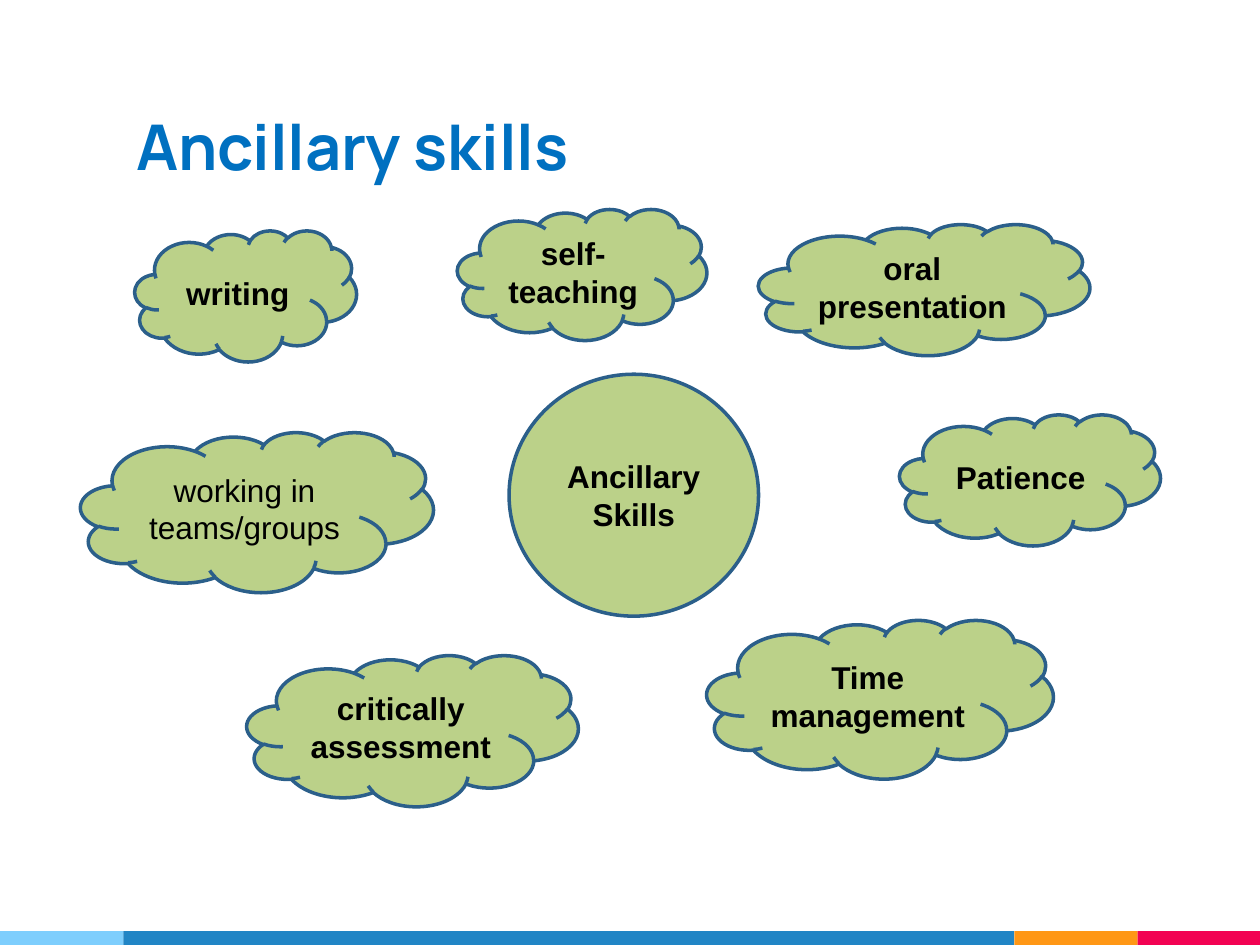
from dataclasses import dataclass

from pptx import Presentation
from pptx.dml.color import RGBColor
from pptx.enum.shapes import MSO_SHAPE
from pptx.enum.text import MSO_ANCHOR, PP_ALIGN
from pptx.util import Inches, Pt


@dataclass(frozen=True)
class Theme:
    title: RGBColor = RGBColor(0x00, 0x70, 0xC0)
    text: RGBColor = RGBColor(0x00, 0x00, 0x00)
    fill: RGBColor = RGBColor(0xBB, 0xD1, 0x89)
    line: RGBColor = RGBColor(0x2B, 0x5F, 0x8A)
    sky: RGBColor = RGBColor(0x7E, 0xCE, 0xFD)
    blue: RGBColor = RGBColor(0x21, 0x85, 0xC5)
    orange: RGBColor = RGBColor(0xFF, 0x97, 0x15)
    red: RGBColor = RGBColor(0xF2, 0x02, 0x53)
    title_font: str = "Manrope"
    body_font: str = "Arial"
    title_size: Pt = Pt(36)
    body_size: Pt = Pt(18)
    line_width: Pt = Pt(2)


@dataclass(frozen=True)
class Bubble:
    text: str
    left: float
    top: float
    width: float
    height: float
    bold: bool = True
    kind: MSO_SHAPE = MSO_SHAPE.CLOUD


THEME = Theme()
SLIDE_W, SLIDE_H = 10, 7.5
BAR_H = 0.11
BAR_SEGMENTS = [
    (0.98, THEME.sky),
    (7.07, THEME.blue),
    (0.98, THEME.orange),
    (0.97, THEME.red),
]
BUBBLES = [
    Bubble("writing", 1.07, 1.83, 1.76, 1.04),
    Bubble("working in teams/groups", 0.64, 3.43, 2.8, 1.27, bold=False),
    Bubble("oral presentation", 6.02, 1.78, 2.63, 1.04),
    Bubble("critically assessment", 1.96, 5.2, 2.63, 1.2),
    Bubble("self-teaching", 3.63, 1.66, 1.98, 1.04),
    Bubble("Patience", 7.14, 3.29, 2.07, 1.04),
    Bubble("Time management", 5.61, 4.92, 2.75, 1.26),
    Bubble("Ancillary Skills", 4.04, 2.97, 1.98, 1.92, kind=MSO_SHAPE.OVAL),
]


def set_attrs(obj, values: dict) -> None:
    for name, value in values.items():
        setattr(obj, name, value)


def write(sp, text: str, frame: dict, align: PP_ALIGN, font: dict, color: RGBColor) -> None:
    tf = sp.text_frame
    set_attrs(tf, {"word_wrap": True, **frame})
    p = tf.paragraphs[0]
    p.alignment = align
    r = p.add_run()
    r.text = text
    set_attrs(r.font, font)
    r.font.color.rgb = color


def add_filled(s, kind: MSO_SHAPE, box: tuple, color: RGBColor):
    sp = s.shapes.add_shape(kind, *(Inches(v) for v in box))
    sp.shadow.inherit = False
    sp.fill.solid()
    sp.fill.fore_color.rgb = color
    return sp


def add_footer_bar(s) -> None:
    left = 0
    for width, color in BAR_SEGMENTS:
        box = (left, SLIDE_H - BAR_H, width, BAR_H)
        add_filled(s, MSO_SHAPE.RECTANGLE, box, color).line.fill.background()
        left += width


def add_title(s, text: str) -> None:
    sp = s.shapes.title
    box = {"left": 0.98, "top": 0.3, "width": 7.07, "height": 1.25}
    set_attrs(sp, {name: Inches(v) for name, v in box.items()})
    frame = {f"margin_{side}": Inches(0.1) for side in ("left", "top", "right", "bottom")}
    frame["vertical_anchor"] = MSO_ANCHOR.BOTTOM
    font = {"name": THEME.title_font, "size": THEME.title_size, "bold": True}
    write(sp, text, frame, PP_ALIGN.LEFT, font, THEME.title)


def add_bubble(s, b: Bubble) -> None:
    sp = add_filled(s, b.kind, (b.left, b.top, b.width, b.height), THEME.fill)
    sp.line.color.rgb = THEME.line
    sp.line.width = THEME.line_width
    font = {"name": THEME.body_font, "size": THEME.body_size, "bold": b.bold}
    frame = {"vertical_anchor": MSO_ANCHOR.MIDDLE}
    write(sp, b.text, frame, PP_ALIGN.CENTER, font, THEME.text)


def main() -> None:
    prs = Presentation()
    prs.slide_width, prs.slide_height = Inches(SLIDE_W), Inches(SLIDE_H)
    s = prs.slides.add_slide(prs.slide_layouts[5])

    # Coloured strip along the bottom edge
    add_footer_bar(s)

    # Title
    add_title(s, "Ancillary skills")

    # Skill clouds around the central circle
    for bubble in BUBBLES:
        add_bubble(s, bubble)

    prs.save("out.pptx")


if __name__ == "__main__":
    main()
